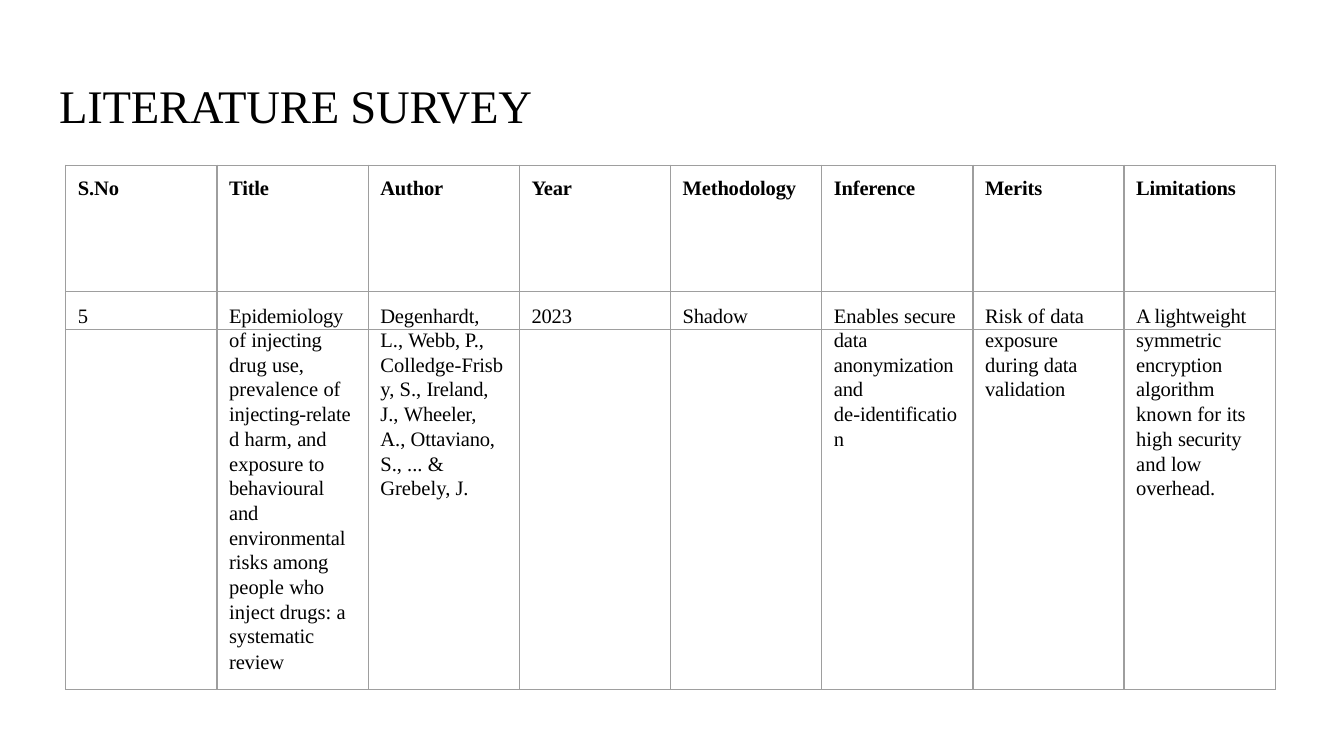
import pptx
import pptx.dml.color
import pptx.enum.text
import pptx.oxml.ns
import pptx.util
from lxml import etree

FONT = "Times New Roman"
BLACK, GREY = "000000", "9E9E9E"
NO_STYLE = "{2D5ABB26-0587-4C30-8999-92F81FD0307C}"
WIDTH = 10
HEIGHT = WIDTH * 9 / 16

# Each column: heading, then one text line for each row beneath it.
# A bar parts the normally spaced start of a line from its tighter end.
COLUMNS = [
    ("S.No", ["5"]),
    ("Title", ["Epidemiology", "of |injecting", "drug |use,", "prevalence |of",
               "injecting-relate", "d harm, |and", "exposure |to", "behavioural",
               "and", "environmental", "risks |among", "people |who",
               "inject drugs: |a", "systematic", "review"]),
    ("Author", ["Degenhardt,", "L., |Webb, P.,", "Colledge-|Frisb",
                "y, S., |Ireland,", "J., |Wheeler,", "A., |Ottaviano,",
                "S., ... |&", "Grebely, |J."]),
    ("Year", ["2023"]),
    ("Methodology", ["Shadow"]),
    ("Inference", ["Enables |secure", "data", "anonymization", "and",
                   "de-|identificatio", "n"]),
    ("Merits", ["Risk of |data", "exposure", "during |data", "validation"]),
    ("Limitations", ["A lightweight", "symmetric", "encryption", "algorithm",
                     "known for |its", "high |security", "and |low", "overhead."]),
]


def inches(value):
    return pptx.util.Inches(value)


def colour(hex_text):
    return pptx.dml.color.RGBColor.from_string(hex_text)


def add_child(parent, tag, **attributes):
    child = etree.SubElement(parent, pptx.oxml.ns.qn(tag))
    for name, value in attributes.items():
        child.set(name, str(value))
    return child


def write_text(frame, text, size=11, bold=False, indent=0.09, before=0, line=None):
    """Put one formatted line of text in a text frame."""
    para = frame.paragraphs[0]
    para.alignment = pptx.enum.text.PP_ALIGN.LEFT
    para.space_before = pptx.util.Pt(before)
    if line:
        para.line_spacing = pptx.util.Pt(line)
    properties = para._p.get_or_add_pPr()
    properties.set("marL", str(inches(indent)))
    properties.set("indent", "0")
    if not text:
        add_child(para._p, "a:endParaRPr", sz=size * 100)
        return
    start, _, end = text.rpartition("|")
    for part, spacing in ((start, "0"), (end, "-10")):
        if part:
            span = para.add_run()
            span.text = part
            span.font.name = FONT
            span.font.size = pptx.util.Pt(size)
            span.font.bold = bold
            span.font.color.rgb = colour(BLACK)
            span._r.get_or_add_rPr().set("spc", spacing)


def draw_borders(cell, sides):
    """Rule the given sides, named in the order L, R, T, B."""
    properties = cell._tc.get_or_add_tcPr()
    for place, side in enumerate(sides):
        border = add_child(properties, f"a:ln{side}", w=pptx.util.Pt(0.75))
        fill = add_child(border, "a:solidFill")
        add_child(fill, "a:srgbClr", val=GREY)
        properties.insert(place, border)


def add_title(page, box, text):
    title = page.shapes.title
    title.left, title.top, title.width, title.height = map(inches, box)
    frame = title.text_frame
    frame.margin_left = frame.margin_right = frame.margin_bottom = 0
    frame.margin_top = inches(0.39)
    frame.vertical_anchor = pptx.enum.text.MSO_ANCHOR.TOP
    frame.word_wrap = True
    frame.auto_size = pptx.enum.text.MSO_AUTO_SIZE.SHAPE_TO_FIT_TEXT
    write_text(frame, text, size=25, indent=0.08, before=1.2)


def fill_cell(cell, row, last, text):
    cell.margin_left = cell.margin_right = cell.margin_bottom = 0
    cell.margin_top = inches(0.09 if row < 2 else 0)
    cell.fill.background()
    line = {0: None, 1: 12.9, last: 12.5}.get(row, 12.2)
    write_text(cell.text_frame, text, bold=row == 0,
               before=6.3 if row < 2 else 0, line=line)
    draw_borders(cell, "LRTB" if row < 2 else "LRB" if row == last else "LR")


def add_survey(page, box, columns):
    # Heading, first and last rows are fixed; the rest share what is left
    lines = max(len(texts) for _, texts in columns)
    head, first, end = 0.94, 0.28, 0.29
    middle = (box[3] - head - first - end) / (lines - 2)
    heights = [head, first] + [middle] * (lines - 2) + [end]

    frame = page.shapes.add_table(lines + 1, len(columns), *map(inches, box))
    table = frame.table
    table.first_row = table.horz_banding = False
    table._tbl.tblPr.find(pptx.oxml.ns.qn("a:tableStyleId")).text = NO_STYLE
    for row, height in enumerate(heights):
        table.rows[row].height = inches(height)
    for column, (heading, texts) in enumerate(columns):
        table.columns[column].width = inches(box[2] / len(columns))
        padded = [heading] + texts + [""] * (lines - len(texts))
        for row, text in enumerate(padded):
            fill_cell(table.cell(row, column), row, lines, text)


def main():
    deck = pptx.Presentation()
    deck.slide_width, deck.slide_height = inches(WIDTH), inches(HEIGHT)
    page = deck.slides.add_slide(deck.slide_layouts[5])
    add_title(page, (0.36, 0.18, 9.28, 0.82), "LITERATURE SURVEY")
    add_survey(page, (0.49, 1.23, 9, 3.87), COLUMNS)
    deck.save("out.pptx")


if __name__ == "__main__":
    main()
